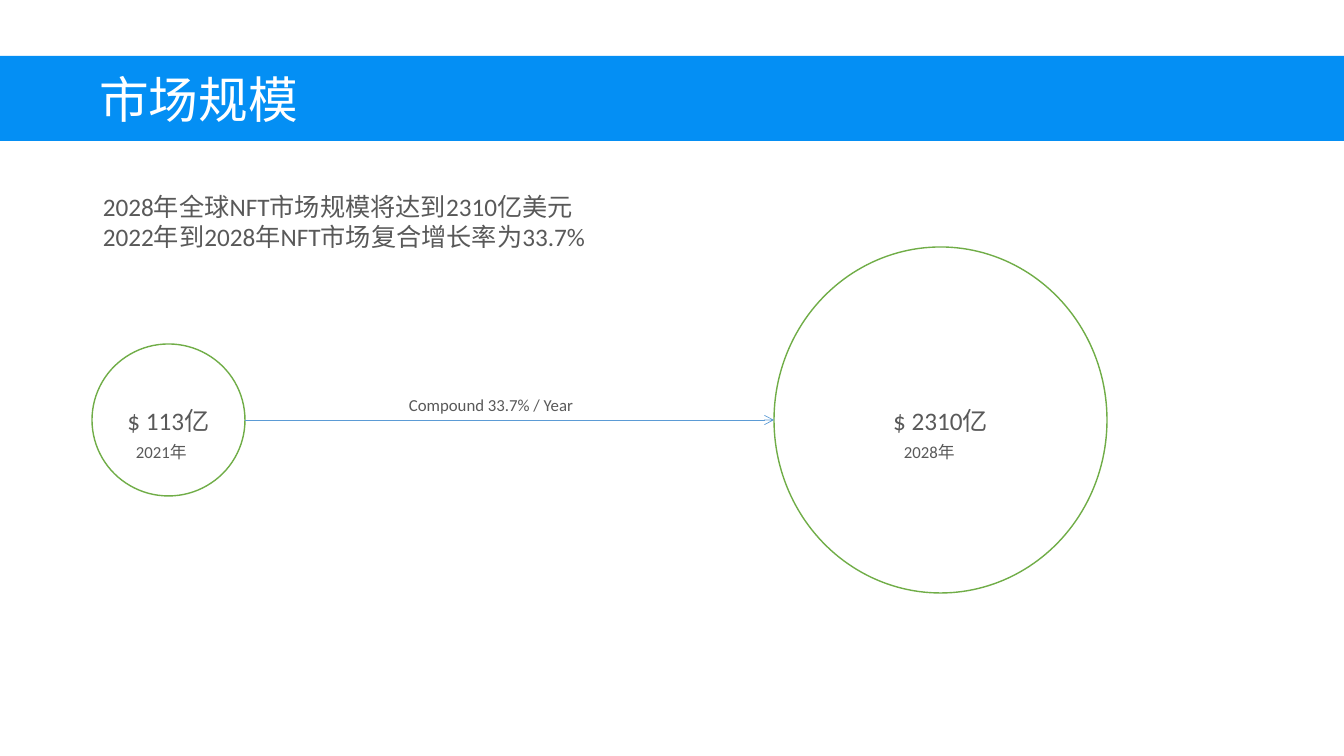
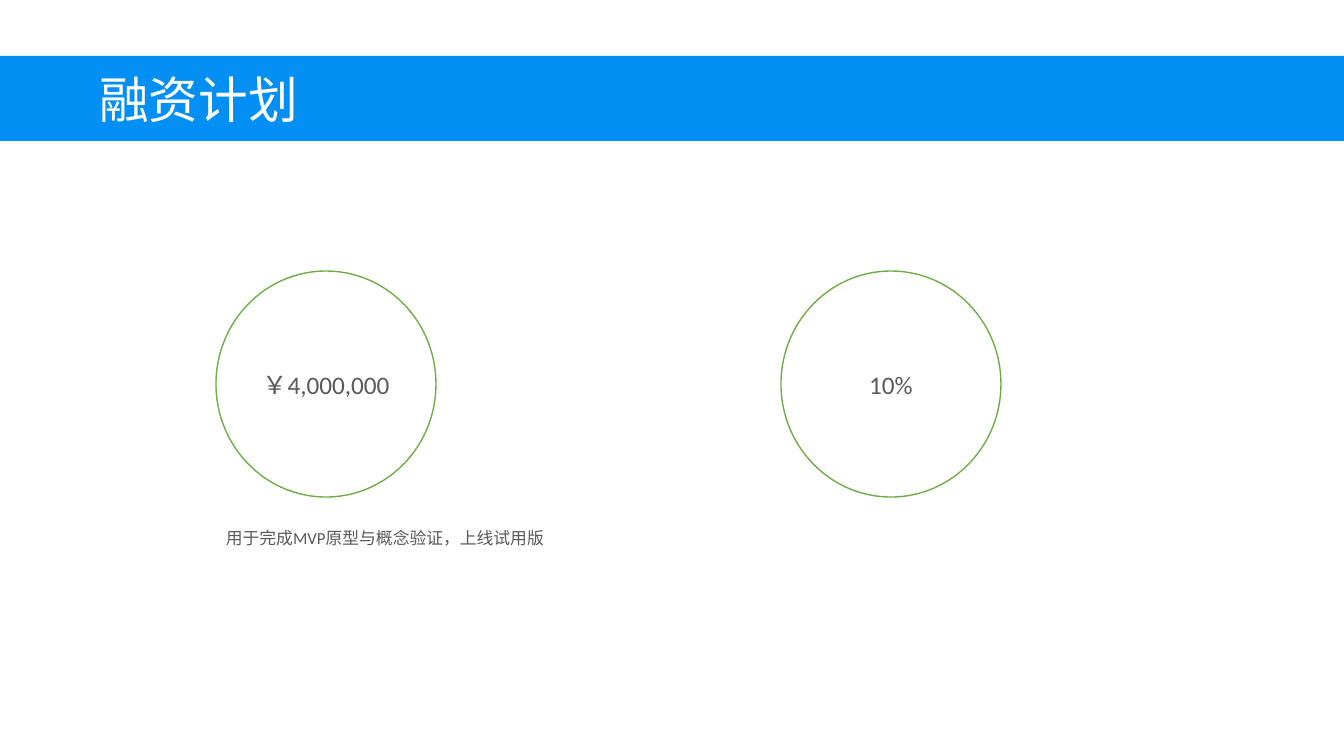
from lxml import etree
from pptx import Presentation
from pptx.dml.color import RGBColor
from pptx.enum.shapes import MSO_CONNECTOR, MSO_SHAPE
from pptx.enum.text import MSO_ANCHOR, MSO_AUTO_SIZE, PP_ALIGN
from pptx.oxml.ns import qn
from pptx.util import Emu, Pt

RECTANGLE, OVAL = MSO_SHAPE.RECTANGLE, MSO_SHAPE.OVAL
STRAIGHT = MSO_CONNECTOR.STRAIGHT
LEFT, CENTER = PP_ALIGN.LEFT, PP_ALIGN.CENTER
MIDDLE = MSO_ANCHOR.MIDDLE
GROW = MSO_AUTO_SIZE.SHAPE_TO_FIT_TEXT

WHITE = RGBColor(0xFF, 0xFF, 0xFF)
BAND_BLUE = RGBColor(0x04, 0x8F, 0xF4)
RING_GREEN = RGBColor(0x70, 0xAD, 0x47)
ARROW_BLUE = RGBColor(0x5B, 0x9B, 0xD5)
TEXT_GREY = RGBColor(0x59, 0x59, 0x59)

FONT = "Calibri"
TITLE_SIZE, BODY_SIZE, NOTE_SIZE = 35.5, 18, 12
SLIDE_W, SLIDE_H = 1344, 756
BAND_BOX = (0, 56, SLIDE_W, 85)
TITLE_INDENT = 99


def px(length):
    """Turn pixels into EMU."""
    return Emu(round(length * 914400 / 100.8))


def write(frame, text, size=BODY_SIZE, color=TEXT_GREY, align=LEFT):
    """Write one paragraph per line of text in the given format."""
    frame.word_wrap = True
    for index, line in enumerate(text.split("\n")):
        paragraph = frame.add_paragraph() if index else frame.paragraphs[0]
        paragraph.alignment = align
        run = paragraph.add_run()
        run.text = line
        run.font.name = FONT
        run.font.size = Pt(size)
        run.font.color.rgb = color


def add_filled(slide, preset, box, fill):
    """Add a flat preset shape with vertically centred text."""
    shape = slide.shapes.add_shape(preset, *map(px, box))
    shape.shadow.inherit = False
    shape.fill.solid()
    shape.fill.fore_color.rgb = fill
    shape.text_frame.vertical_anchor = MIDDLE
    return shape


def add_title_band(slide, box, title):
    """Add the full-width band that carries the slide title."""
    band = add_filled(slide, RECTANGLE, box, BAND_BLUE)
    band.line.fill.background()
    frame = band.text_frame
    frame.margin_left = px(TITLE_INDENT)
    frame.margin_top = frame.margin_right = frame.margin_bottom = 0
    write(frame, title, size=TITLE_SIZE, color=WHITE)


def add_ring(slide, box, amount):
    """Add a green ring with an amount in its middle."""
    ring = add_filled(slide, OVAL, box, WHITE)
    ring.line.color.rgb = RING_GREEN
    ring.line.width = Pt(1)
    write(ring.text_frame, amount, align=CENTER)


def add_label(slide, box, text, size=NOTE_SIZE):
    """Add free-standing text that wraps in its box."""
    label = slide.shapes.add_textbox(*map(px, box))
    write(label.text_frame, text, size=size)
    label.text_frame.auto_size = GROW


def add_growth_arrow(slide, start_box, end_box):
    """Add an arrow from the right of one box to the left of another."""
    left, top, width, height = start_box
    end_left, end_top, _, end_height = end_box
    arrow = slide.shapes.add_connector(
        STRAIGHT, px(left + width), px(top + height / 2),
        px(end_left), px(end_top + end_height / 2))
    arrow.line.color.rgb = ARROW_BLUE
    arrow.line.width = Pt(0.5)
    etree.SubElement(arrow.line._get_or_add_ln(), qn("a:tailEnd"), type="arrow")
    etree.SubElement(arrow._element.spPr, qn("a:effectLst"))


def add_titled_slide(deck, title):
    """Add a blank slide with the shared title band."""
    slide = deck.slides.add_slide(deck.slide_layouts[6])
    add_title_band(slide, BAND_BOX, title)
    return slide


def build_market_slide(deck):
    """Build the slide on market size and growth."""
    slide = add_titled_slide(deck, "市场规模")
    add_label(slide, (93, 186, 502, 72),
              "2028年全球NFT市场规模将达到2310亿美元\n"
              "2022年到2028年NFT市场复合增长率为33.7%", size=BODY_SIZE)
    present_box, future_box = (92, 344, 153, 152), (774, 247, 333, 346)
    add_ring(slide, present_box, "$ 113亿")
    add_ring(slide, future_box, "$ 2310亿")
    for left, year in ((126, "2021年"), (894, "2028年")):
        add_label(slide, (left, 437, 72, 30), year)
    add_growth_arrow(slide, present_box, future_box)
    add_label(slide, (399, 390, 186, 30), "Compound 33.7% / Year")


def build_funding_slide(deck):
    """Build the slide on the funding plan."""
    slide = add_titled_slide(deck, "融资计划")
    for left, amount in ((216, "￥4,000,000"), (781, "10%")):
        add_ring(slide, (left, 271, 220, 226), amount)
    add_label(slide, (216, 523, 339, 30), "用于完成MVP原型与概念验证，上线试用版")


def main():
    """Build and save the presentation."""
    deck = Presentation()
    deck.slide_width, deck.slide_height = px(SLIDE_W), px(SLIDE_H)
    build_market_slide(deck)
    build_funding_slide(deck)
    deck.save("out.pptx")


if __name__ == "__main__":
    main()
